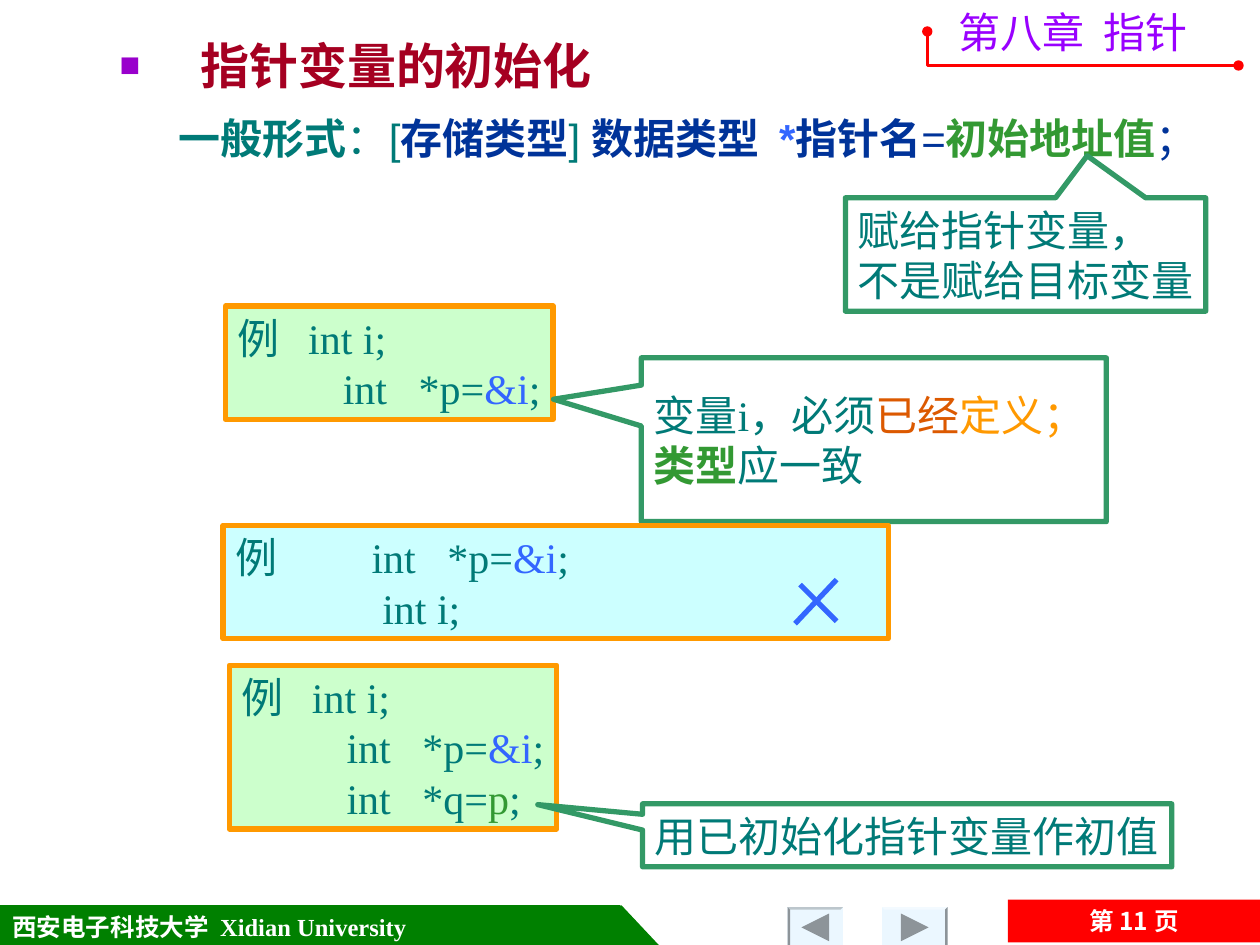
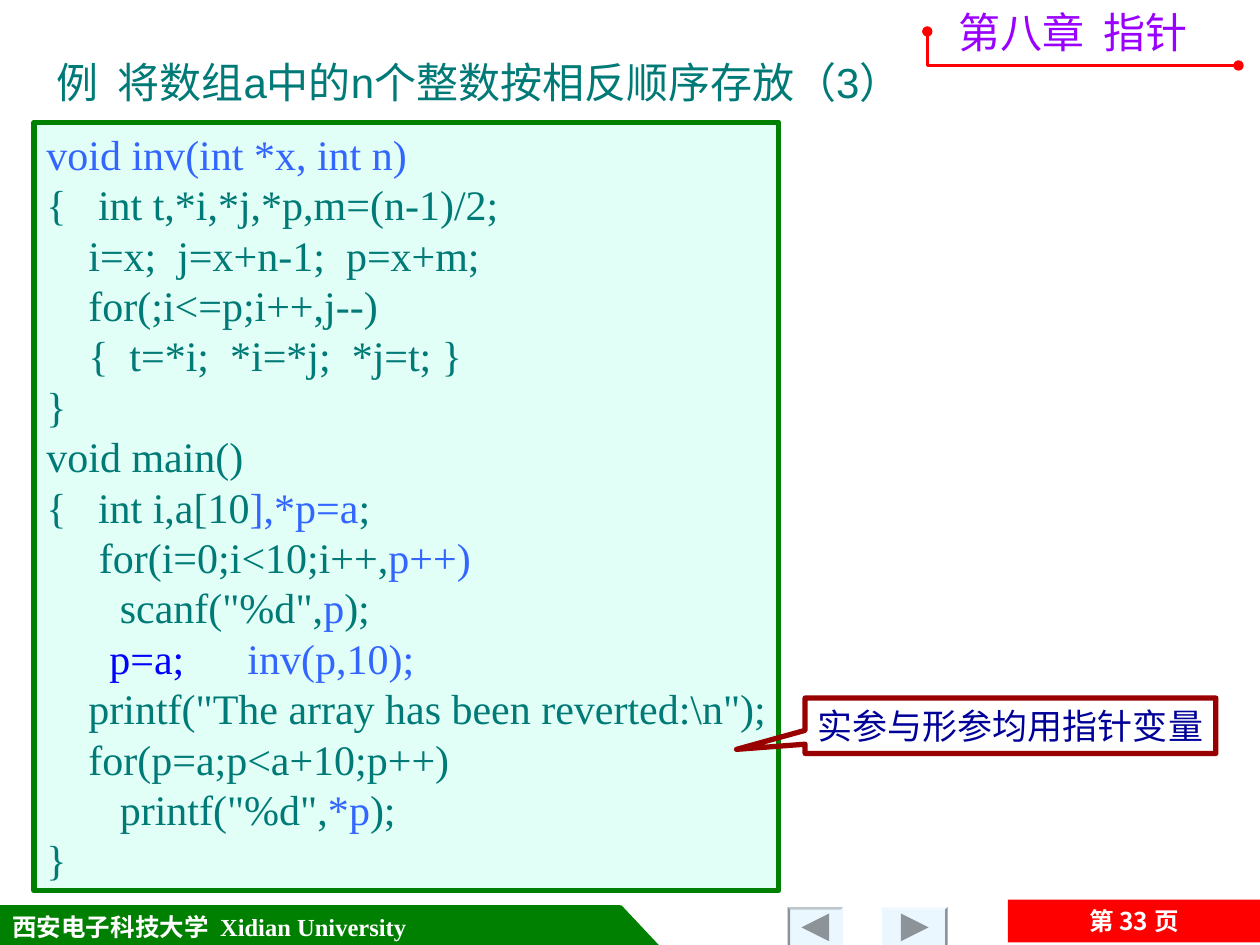
from lxml import etree
from pptx import Presentation
from pptx.dml.color import RGBColor
from pptx.enum.shapes import MSO_CONNECTOR, MSO_SHAPE
from pptx.enum.text import MSO_ANCHOR, MSO_AUTO_SIZE, PP_ALIGN
from pptx.oxml.ns import qn
from pptx.util import Inches, Pt

RECT, CALLOUT = MSO_SHAPE.RECTANGLE, MSO_SHAPE.RECTANGULAR_CALLOUT
RIGHT_TRIANGLE = MSO_SHAPE.RIGHT_TRIANGLE
STRAIGHT = MSO_CONNECTOR.STRAIGHT
TOP, MIDDLE, BOTTOM = MSO_ANCHOR.TOP, MSO_ANCHOR.MIDDLE, MSO_ANCHOR.BOTTOM
LEFT, CENTER = PP_ALIGN.LEFT, PP_ALIGN.CENTER
NO_AUTOFIT = MSO_AUTO_SIZE.NONE

SERIF, SANS, CJK = "Times New Roman", "Arial", "Noto Sans CJK SC"

WHITE = RGBColor(0xFF, 0xFF, 0xFF)
RED = RGBColor(0xFF, 0x00, 0x00)
DARK_RED = RGBColor(0x99, 0x00, 0x00)
CRIMSON = RGBColor(0xA5, 0x00, 0x21)
VIOLET = RGBColor(0x99, 0x00, 0xFF)
GREEN = RGBColor(0x00, 0x80, 0x00)
LEAF = RGBColor(0x33, 0x99, 0x33)
SEA_GREEN = RGBColor(0x33, 0x99, 0x66)
TEAL = RGBColor(0x00, 0x7A, 0x77)
BLUE = RGBColor(0x33, 0x66, 0xFF)
PURE_BLUE = RGBColor(0x00, 0x00, 0xFF)
NAVY = RGBColor(0x00, 0x33, 0x99)
DARK_NAVY = RGBColor(0x00, 0x00, 0x99)
ORANGE = RGBColor(0xFF, 0x99, 0x00)
RUST = RGBColor(0xDC, 0x59, 0x00)
PALE_GREEN = RGBColor(0xCC, 0xFF, 0xCC)
PALE_CYAN = RGBColor(0xCC, 0xFF, 0xFF)
MINT = RGBColor(0xE1, 0xFF, 0xF7)
BUTTON_FACE = RGBColor(0xEB, 0xF7, 0xFF)
BUTTON_LIGHT = RGBColor(0xF3, 0xFA, 0xFF)
BUTTON_MID = RGBColor(0xBC, 0xC6, 0xCC)
BUTTON_DARK = RGBColor(0x8D, 0x94, 0x99)


def write(frame, lines, size=24, font=SERIF, color=TEAL, bold=False,
          anchor=MIDDLE, align=LEFT, wrap=True):
    """Fill a frame; a line is a string or pieces: text or (text, colour, bold, font)."""
    frame.auto_size = NO_AUTOFIT
    frame.word_wrap = wrap
    frame.vertical_anchor = anchor
    for index, line in enumerate(lines):
        paragraph = frame.add_paragraph() if index else frame.paragraphs[0]
        paragraph.alignment = align
        paragraph.space_before = Pt(0)
        for piece in [line] if isinstance(line, str) else line:
            given = (piece,) if isinstance(piece, str) else piece
            text, tint, heavy, face = given + (None, color, bold, font)[len(given):]
            run = paragraph.add_run()
            run.text = text
            run.font.size = Pt(size)
            run.font.name = face
            run.font.bold = heavy
            run.font.color.rgb = tint
            etree.SubElement(run.font._element, qn("a:ea"), typeface=CJK)


def paint(shape, fill=None, line=None, width=3):
    shape.shadow.inherit = False
    if fill is None:
        shape.fill.background()
    else:
        shape.fill.solid()
        shape.fill.fore_color.rgb = fill
    if line is None:
        shape.line.fill.background()
    else:
        shape.line.color.rgb = line
        shape.line.width = Pt(width)


def add_box(slide, box, kind=RECT, fill=None, line=None, width=3):
    shape = slide.shapes.add_shape(kind, *map(Inches, box))
    paint(shape, fill, line, width)
    return shape


def add_callout(slide, box, tip, lines, fill=WHITE, line=SEA_GREEN, **style):
    """Callout whose tip is given as shares of the box, from its centre."""
    callout = add_box(slide, box, CALLOUT, fill, line)
    callout.adjustments[0], callout.adjustments[1] = tip
    write(callout.text_frame, lines, **style)


def add_outline(slide, points, closed=True):
    start, *rest = [(Inches(x), Inches(y)) for x, y in points]
    builder = slide.shapes.build_freeform(*start)
    builder.add_line_segments(rest, close=closed)
    return builder.convert_to_shape()


def place(placeholder, box):
    placeholder.left, placeholder.top, placeholder.width, placeholder.height = map(Inches, box)


def indent(paragraph, margin, first, bullet=None):
    props = paragraph._p.get_or_add_pPr()
    props.set("marL", str(Inches(margin)))
    props.set("indent", str(Inches(first)))
    if bullet is None:
        etree.SubElement(props, qn("a:buNone"))
        return
    char, color, percent = bullet
    tint = etree.SubElement(props, qn("a:buClr"))
    etree.SubElement(tint, qn("a:srgbClr"), val=str(color))
    etree.SubElement(props, qn("a:buSzPct"), val=str(percent * 1000))
    etree.SubElement(props, qn("a:buFont"), typeface=SANS)
    etree.SubElement(props, qn("a:buChar"), char=char)


def nav_button(slide, box, forward):
    """Bevelled button, lit from the left when forward and from the right when back."""
    left, top, width, height = box
    right, bottom, edge = left + width, top + height, 0.02
    add_box(slide, box, fill=BUTTON_FACE)
    rim = [(left, top), (right, top), (right - edge, top + edge), (left + edge, top + edge)]
    paint(add_outline(slide, rim), BUTTON_LIGHT if forward else BUTTON_MID)
    outer, step = (right, -edge) if forward else (left, edge)
    side = [(outer, top), (outer, bottom), (outer + step, bottom), (outer + step, top + edge)]
    paint(add_outline(slide, side), BUTTON_DARK)
    reach = 0.11 if forward else -0.11
    middle, level = left + width / 2, top + 0.16
    arrow = [(middle - reach, level - 0.11), (middle + reach, level), (middle - reach, level + 0.11)]
    paint(add_outline(slide, arrow), BUTTON_DARK)


def footer(slide, page):
    top, height = 7.19, 0.33
    school = add_box(slide, (0, top, 4.92, height), fill=GREEN, line=GREEN, width=0.75)
    write(school.text_frame, ["西安电子科技大学  Xidian University"], 14, color=WHITE, bold=True)
    add_box(slide, (4.93, top, 0.31, height), RIGHT_TRIANGLE, GREEN, GREEN, 0.75)
    nav_button(slide, (7, 7.2, 0.52, 0.3), forward=True)
    nav_button(slide, (6.25, 7.2, 0.44, 0.3), forward=False)
    page_bar = add_box(slide, (8, 7.14, 2, 0.34), fill=RED)
    write(page_bar.text_frame, [f"第 {page} 页"], 14, CJK, WHITE, True, align=CENTER)


def chapter_mark(slide, left, top):
    heading = slide.shapes.add_textbox(*map(Inches, (left + 0.15, top, 2.2, 0.5)))
    write(heading.text_frame, ["第八章  指针"], font=CJK, color=VIOLET, anchor=TOP)
    corner = [(left, top + 0.25), (left, top + 0.52), (left + 2.47, top + 0.52)]
    rule = add_outline(slide, corner, closed=False)
    paint(rule, line=RED, width=1.5)
    for end in ("a:headEnd", "a:tailEnd"):
        etree.SubElement(rule.line._get_or_add_ln(), qn(end), type="oval")


def new_slide(deck, layout, page):
    slide = deck.slides.add_slide(deck.slide_layouts[layout])
    footer(slide, page)
    chapter_mark(slide, 7.36, 0)
    return slide


def example(slide, box, lines, fill=PALE_GREEN, wrap=False):
    panel = add_box(slide, box, fill=fill, line=ORANGE)
    write(panel.text_frame, lines, wrap=wrap)


def wrong_example(slide, left, top):
    """Example with a cross beside it."""
    example(slide, (left, top, 5.28, 0.9), [
        [("例          ", TEAL, False, CJK), "int   *p=", ("&i", BLUE), ";"],
        "              int i;",
    ], PALE_CYAN, wrap=True)
    for x1, y1, x2, y2 in ((4.87, 0.43, 4.54, 0.78), (4.58, 0.47, 4.87, 0.76)):
        ends = map(Inches, (left + x1, top + y1, left + x2, top + y2))
        stroke = slide.shapes.add_connector(STRAIGHT, *ends)
        stroke.line.color.rgb = BLUE
        stroke.line.width = Pt(3)
        etree.SubElement(stroke._element.spPr, qn("a:effectLst"))


def initialisation_slide(deck):
    slide = new_slide(deck, 1, 11)
    title, syntax = slide.placeholders
    place(title, (0.67, 0.28, 4.32, 0.52))
    indent(title.text_frame.paragraphs[0], 0.82, -0.64, ("■", RGBColor(0x99, 0x00, 0xCC), 70))
    write(title.text_frame, ["指针变量的初始化"], 28, SANS, CRIMSON, True, BOTTOM)

    place(syntax, (0.32, 0.84, 9.43, 0.9))
    indent(syntax.text_frame.paragraphs[0], 1.25, -0.25)
    write(syntax.text_frame, [[
        ("一般形式", TEAL), ("：[", TEAL, False), "存储类型", ("] ", TEAL, False),
        "数据类型  ", ("*", BLUE), "指针名", ("=", NAVY, False),
        ("初始地址值", LEAF), ("；", NAVY, False),
    ]], font=SANS, color=NAVY, bold=True, anchor=TOP)

    declare = [("例   ", TEAL, False, CJK), "int i;"]
    point = ["          int   *p=", ("&i", BLUE), ";"]
    add_callout(slide, (6.71, 1.57, 2.86, 0.9), (0.171, -0.871),
                ["赋给指针变量，", "不是赋给目标变量"], wrap=False)
    example(slide, (1.79, 2.43, 2.6, 0.9), [declare, point])
    add_callout(slide, (5.09, 2.84, 3.69, 1.3), (-0.689, -0.247), [
        ["变量i，必须", ("已经", RUST), ("定义；", ORANGE)],
        [("类型", LEAF, True), "应一致"],
    ])
    wrong_example(slide, 1.77, 4.17)
    example(slide, (1.82, 5.28, 2.6, 1.3),
            [declare, point, ["          int   *q=", ("p", LEAF), ";"]])
    add_callout(slide, (5.1, 6.38, 4.2, 0.5), (-0.698, -0.487),
                ["用已初始化指针变量作初值"], wrap=False)


def reverse_array_slide(deck):
    slide = new_slide(deck, 5, 33)
    title = slide.shapes.title
    place(title, (0.35, 0.28, 8.5, 0.62))
    write(title.text_frame, ["例  将数组a中的n个整数按相反顺序存放（3）"], font=SANS, anchor=BOTTOM)

    listing = add_box(slide, (0.27, 0.97, 5.91, 6.1), fill=MINT, line=GREEN)
    write(listing.text_frame, [
        [("void inv(int *x, int n)", BLUE)],
        "{   int t,*i,*j,*p,m=(n-1)/2;",
        "    i=x;  j=x+n-1;  p=x+m;",
        "    for(;i<=p;i++,j--)",
        "    {  t=*i;  *i=*j;  *j=t; }",
        "}",
        "void main()",
        ["{   int i,a[10", ("],*p=a", BLUE), ";"],
        ["     for(i=0;i<10;i++,", ("p++)", BLUE)],
        ['       scanf("%d",', ("p", BLUE), ");"],
        ["      ", ("p=a;      ", PURE_BLUE), ("inv(p,10);", BLUE)],
        '    printf("The array has been reverted:\\n");',
        "    for(p=a;p<a+10;p++)",
        ['       printf("%d",', ("*p", BLUE), ");"],
        "}",
    ], anchor=TOP, wrap=False)
    add_callout(slide, (6.39, 5.54, 3.26, 0.44), (-0.667, 0.426), ["实参与形参均用指针变量"],
                None, DARK_RED, size=20, color=DARK_NAVY, anchor=TOP, wrap=False)


def main():
    deck = Presentation()
    deck.slide_width, deck.slide_height = Inches(10), Inches(7.5)
    initialisation_slide(deck)
    reverse_array_slide(deck)
    deck.save("out.pptx")


if __name__ == "__main__":
    main()
